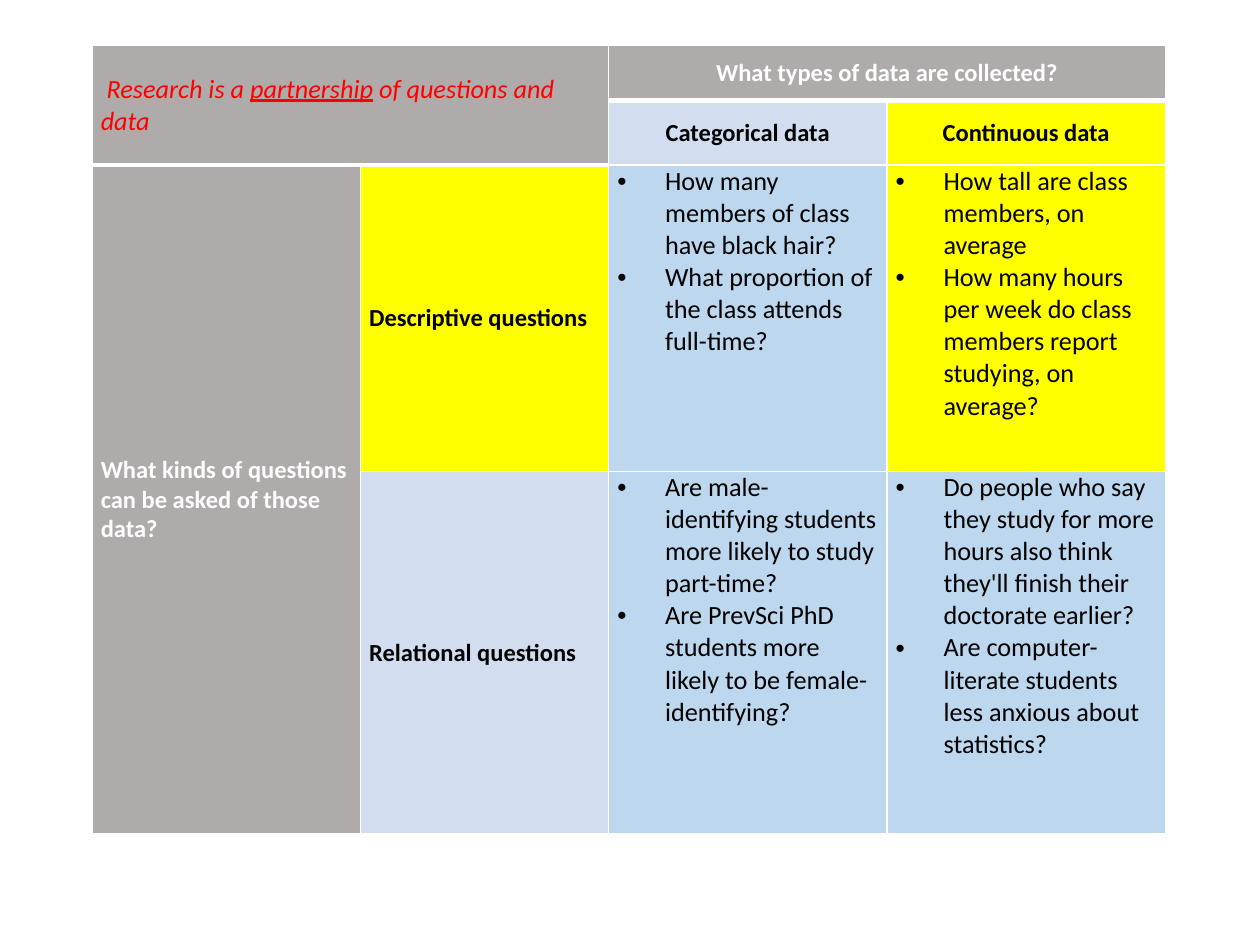
from lxml import etree
from pptx import Presentation
from pptx.dml.color import RGBColor
from pptx.enum import text
from pptx.oxml import ns
from pptx.util import Inches, Pt

HUES = {"gray": "AFABAB", "pale": "D2DEEF", "blue": "BDD7EE", "yellow": "FFFF00",
        "white": "FFFFFF", "black": "000000", "red": "FF0000"}
COLS = [2.13, 1.97, 2.21, 2.21]
ROWS = [0.44, 0.44, 2.43, 2.88]
SPANS = [(0, 0, 1, 1), (0, 2, 0, 3), (2, 0, 3, 0)]
HEADS = [
    (0, 2, "What types of data are collected?", "gray", "white", True),
    (1, 2, "Categorical data", "pale", "black", True),
    (1, 3, "Continuous data", "yellow", "black", True),
    (2, 0, "What kinds of questions can be asked of those data?", "gray", "white", False),
    (2, 1, "Descriptive questions", "yellow", "black", False),
    (3, 1, "Relational questions", "pale", "black", False),
]
LISTS = [
    (2, 2, "blue", ["How many members of class have black hair?",
                    "What proportion of the class attends full-time?"]),
    (2, 3, "yellow", ["How tall are class members, on average",
                      "How many hours per week do class members report studying, on average?"]),
    (3, 2, "blue", ["Are male-identifying students more likely to study part-time?",
                    "Are PrevSci PhD students more likely to be female-identifying?"]),
    (3, 3, "blue", ["Do people who say they study for more hours also think "
                    "they'll finish their doctorate earlier?",
                    "Are computer-literate students less anxious about statistics?"]),
]


class Deck:
    """Hold the style and the current slide, and draw each kind of element."""

    font = "Calibri"
    big, small = 15, 14
    thin, thick = 1, 3

    def __init__(self):
        self.prs = Presentation()
        self.prs.slide_width, self.prs.slide_height = Inches(10), Inches(7.5)
        self.slide = self.prs.slides.add_slide(self.prs.slide_layouts[6])

    def color(self, name):
        return RGBColor.from_string(HUES[name])

    def grid(self, left, top, cols, rows, spans):
        frame = self.slide.shapes.add_table(
            len(rows), len(cols), Inches(left), Inches(top),
            Inches(sum(cols)), Inches(sum(rows)))
        self.table = frame.table
        self.table.first_row = self.table.horz_banding = False
        for col, wide in zip(self.table.columns, cols):
            col.width = Inches(wide)
        for row, high in zip(self.table.rows, rows):
            row.height = Inches(high)
        for r in range(len(rows)):
            for c in range(len(cols)):
                cell = self.table.cell(r, c)
                cell.margin_left = cell.margin_right = Inches(0.07)
                cell.margin_top = cell.margin_bottom = 0
                split = 1 if c < 2 else 0
                self.edge(cell, "T", self.thick if r == split + 1 else self.thin)
                self.edge(cell, "B", self.thick if r <= split else self.thin)
                cell.fill.solid()
                cell.fill.fore_color.rgb = self.color("gray")
        for r, c, last, end in spans:
            self.table.cell(r, c).merge(self.table.cell(last, end))

    def edge(self, cell, side, width):
        props = cell._tc.get_or_add_tcPr()
        sides = ["L", "R", "T"] if side == "T" else ["B"]
        for name in sides:
            size = width if name == side else self.thin
            line = etree.SubElement(props, ns.qn("a:ln" + name), w=str(Pt(size)))
            fill = etree.SubElement(line, ns.qn("a:solidFill"))
            etree.SubElement(fill, ns.qn("a:srgbClr"), val=HUES["white"])

    def style(self, run, size, hue, bold=False, italic=False, under=False):
        font = run.font
        font.name, font.size = self.font, Pt(size)
        font.bold, font.italic, font.underline = bold, italic, under
        font.color.rgb = self.color(hue)

    def title(self, parts):
        cell = self.table.cell(0, 0)
        cell.vertical_anchor = text.MSO_ANCHOR.MIDDLE
        para = cell.text_frame.paragraphs[0]
        for words, hue, bold, under in parts:
            run = para.add_run()
            run.text = words
            self.style(run, self.big, hue, bold, True, under)

    def head(self, row, col, words, fill, hue, mid):
        cell = self.table.cell(row, col)
        cell.fill.fore_color.rgb = self.color(fill)
        cell.vertical_anchor = text.MSO_ANCHOR.MIDDLE
        cell.text_frame.text = words
        para = cell.text_frame.paragraphs[0]
        para.alignment = text.PP_ALIGN.CENTER if mid else text.PP_ALIGN.LEFT
        self.style(para.runs[0], self.small, hue, True)

    def items(self, row, col, fill, lines):
        cell = self.table.cell(row, col)
        cell.fill.fore_color.rgb = self.color(fill)
        cell.text_frame.text = "\n".join(lines)
        for para in cell.text_frame.paragraphs:
            props = para._p.get_or_add_pPr()
            props.set("marL", str(Inches(0.38)))
            props.set("indent", str(-Inches(0.38)))
            etree.SubElement(props, ns.qn("a:buFont"), typeface="Arial")
            etree.SubElement(props, ns.qn("a:buChar"), char="•")
            self.style(para.runs[0], self.big, "black")


def main():
    deck = Deck()
    deck.grid(0.73, 0.36, COLS, ROWS, SPANS)
    deck.title([(" ", "white", True, False),
                ("Research is a ", "red", False, False),
                ("partnership", "red", False, True),
                (" of questions and data", "red", False, False)])
    for head in HEADS:
        deck.head(*head)
    for item in LISTS:
        deck.items(*item)
    deck.prs.save("out.pptx")


if __name__ == "__main__":
    main()
